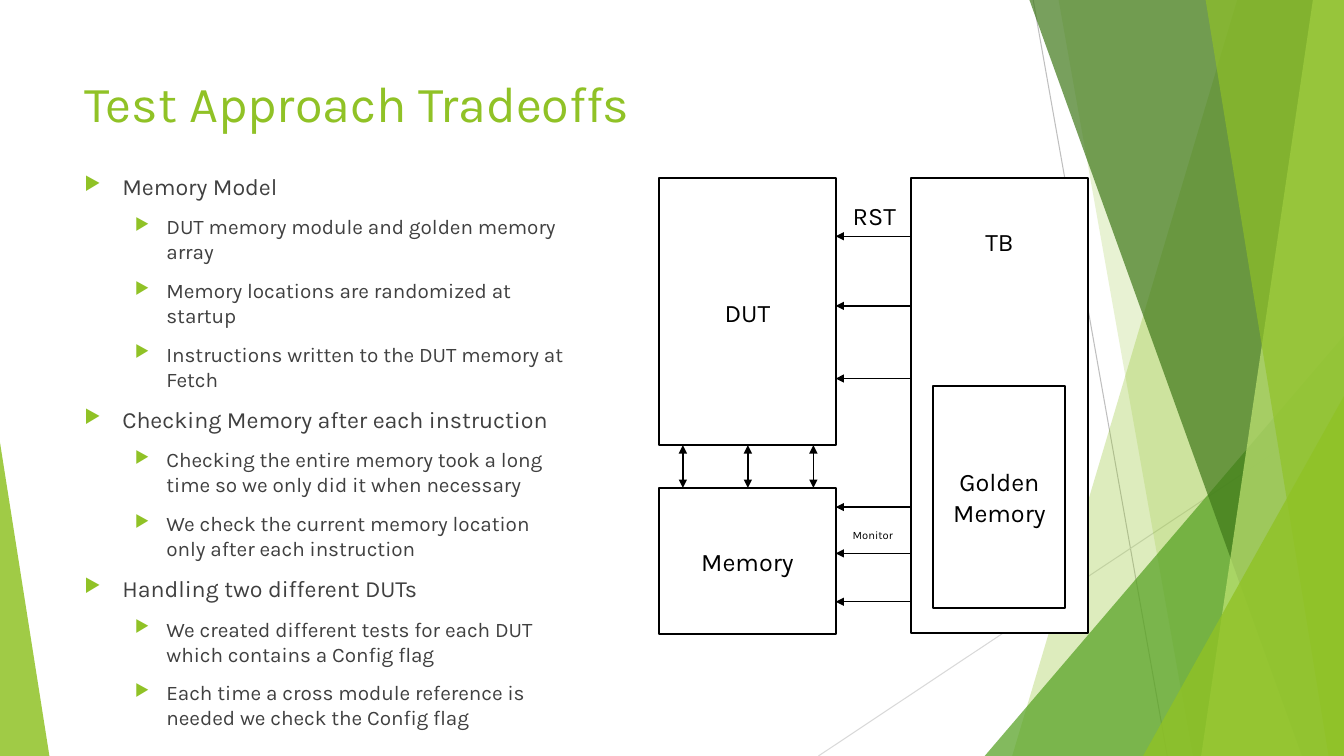
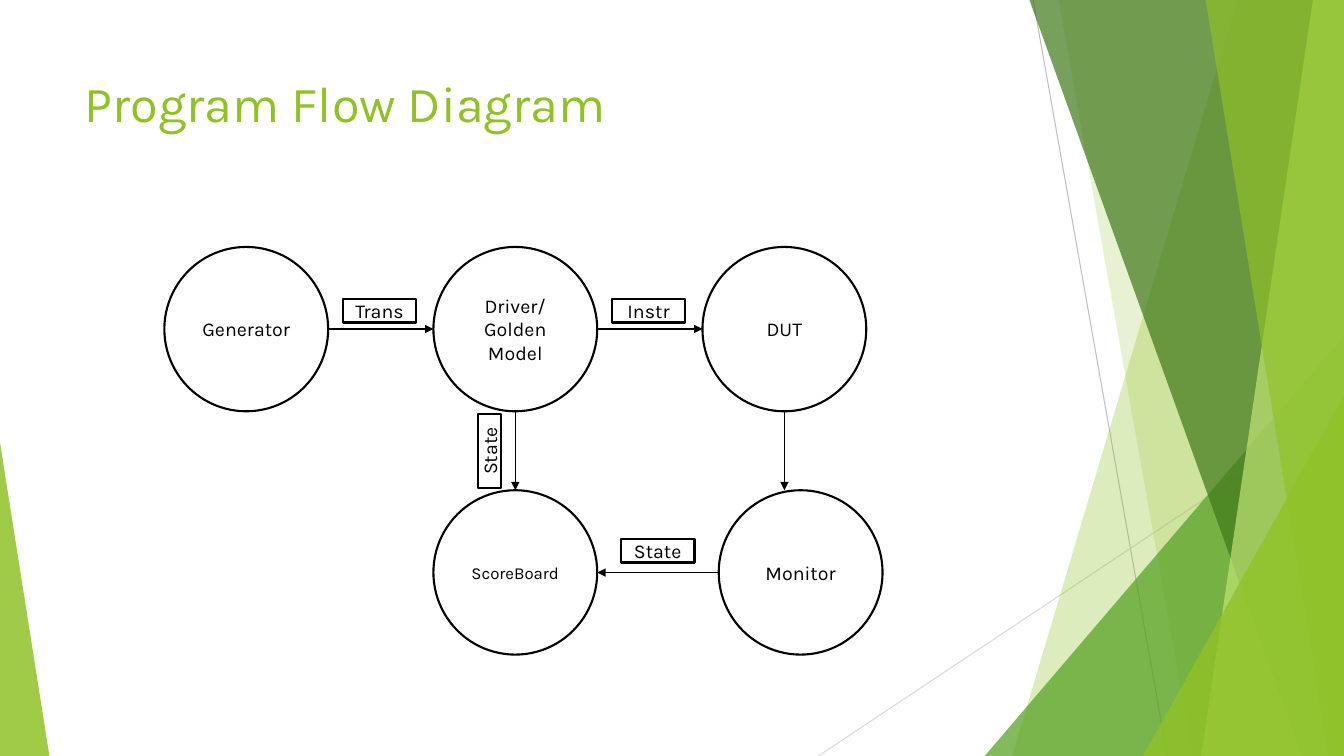
from lxml import etree
from pptx import Presentation
from pptx import util as u
from pptx.dml import color as dml
from pptx.enum import shapes, text
from pptx.oxml import ns

COLORS = {
    "green": "90C226", "leaf": "54A021", "forest": "3F7819", "lime": "C0E474",
    "body": "404040", "black": "000000", "white": "FFFFFF",
    "rule": "BFBFBF", "pale_rule": "D9D9D9",
}
FONT = "Karla"
WIDTH, HEIGHT = 960, 540
RECT, OVAL = shapes.MSO_SHAPE.RECTANGLE, shapes.MSO_SHAPE.OVAL


def write(paragraph, words, size, color="black"):
    """Add one run in the deck's font to a paragraph."""
    run = paragraph.add_run()
    run.text = words
    run.font.name = FONT
    run.font.size = u.Pt(size)
    run.font.color.rgb = dml.RGBColor.from_string(COLORS[color])


def add_line(slide, points, color="black", width=1, ends=("tailEnd",)):
    """Draw a straight line (x1, y1, x2, y2) with triangles at the named ends."""
    line = slide.shapes.add_connector(
        shapes.MSO_CONNECTOR.STRAIGHT, *[u.Pt(value) for value in points])
    line.line.color.rgb = dml.RGBColor.from_string(COLORS[color])
    line.line.width = u.Pt(width)
    properties = line._element.spPr
    outline = properties.find(ns.qn("a:ln"))
    for end in ends:
        etree.SubElement(outline, ns.qn("a:" + end), type="triangle")
    etree.SubElement(properties, ns.qn("a:effectLst"))


# Background: slanted bands (top x, bottom x) and right triangles
# (left, top, width, apex), from back to front
background_lines = [((738, 0, 833.8, HEIGHT), "rule"),
                    ((WIDTH, 290.2, 584.6, HEIGHT), "pale_rule")]
facets = [
    ((884.2, 722.9), "green", 30),
    ((756, 851.8), "green", 20),
    ((703.4, 239.8, 256.6, 1), "leaf", 72),
    ((735.1, 929.5), "forest", 70),
    ((938.2, 858.2), "lime", 70),
    ((861.1, 949), "green", 65),
    ((816.5, 283, 143.5, 1), "green", 80),
    ((0, 316.1, 35.3, 0), "green", 85),
]

# Test bench: blocks, signals and bullets
dut_left, bench_left, block_width = 470.9, 650.9, 126
dut_right = dut_left + block_width
bench_blocks = [
    (RECT, (dut_left, 127.4, block_width, 190.8), "DUT", 18, 0),
    (RECT, (bench_left, 127.4, block_width, 324.7), "TB", 18, 0),
    (RECT, (666.7, 275.8, 94.3, 158.4), "Golden Memory", 18, 0),
    (RECT, (dut_left, 348.5, block_width, 104.4), "Memory", 18, 0),
]
bench_arrows = [((bench_left, y, dut_right, y), ("tailEnd",))
                for y in (168.8, 218.5, 270.4, 362.2, 395.3, 429.8)]
bench_arrows += [((x, 318, x, 348.5), ("headEnd", "tailEnd"))
                 for x in (487.8, 534.2, 581)]
signal_names = [((602, 373.7, 45.4, 17.3), "Monitor", 8),
                ((602, 139.7, 45.4, 28.8), "RST", 18)]
bullets = [
    (0, "Memory Model"),
    (1, "DUT memory module and golden memory array"),
    (1, "Memory locations are randomized at startup"),
    (1, "Instructions written to the DUT memory at Fetch"),
    (0, "Checking Memory after each instruction"),
    (1, "Checking the entire memory took a long time so we only did it when necessary"),
    (1, "We check the current memory location only after each instruction"),
    (0, "Handling two different DUTs"),
    (1, "We created different tests for each DUT which contains a Config flag"),
    (1, "Each time a cross module reference is needed we check the Config flag"),
]
bullet_levels = [(16.6, 27, -27), (14.8, 58.5, -22.5)]  # size, margin, indent

# Program flow: circles on columns and rows, tags beside the arrows
columns = [117.4 + 192.2 * number for number in range(3)]
upper, lower, monitor_left = 176.4, 350.2, 513.4
diameter = 117
flow_blocks = [(OVAL, (left, top, diameter, diameter + 0.4), name, size, 0)
               for left, top, name, size in [
                   (columns[0], upper, "Generator", 14),
                   (columns[1], upper, "Driver/ Golden Model", 14),
                   (columns[2], upper, "DUT", 14),
                   (columns[1], lower, "ScoreBoard", 12),
                   (monitor_left, lower, "Monitor", 14)]]
flow_blocks += [(RECT, (left, top, 52.6, 16.6), name, 14, angle)
                for left, top, name, angle in [
                    (244.8, 213.8, "Trans", 0),
                    (437, 213.8, "Instr", 0),
                    (443.5, 385.2, "State", 0),
                    (323.3, 313.9, "State", 270)]]
flow_arrows = [(points, ("tailEnd",)) for points in [
    (columns[0] + diameter, 235, columns[1], 235),
    (columns[1] + diameter, 235, columns[2], 235),
    (columns[1] + diameter / 2, 294.2, columns[1] + diameter / 2, lower),
    (columns[2] + diameter / 2, 294.2, columns[2] + diameter / 2, lower),
    (monitor_left, 409, columns[1] + diameter, 409)]]

pages = [
    ("Test Approach Tradeoffs", bench_blocks, bench_arrows, signal_names, bullets),
    ("Program Flow Diagram", flow_blocks, flow_arrows, [], []),
]

presentation = Presentation()
presentation.slide_width = u.Pt(WIDTH)
presentation.slide_height = u.Pt(HEIGHT)

for title, blocks, arrows, names, points in pages:
    slide = presentation.slides.add_slide(presentation.slide_layouts[6])

    for line_points, color in background_lines:
        add_line(slide, line_points, color, 0.75, ())
    for place, color, opacity in facets:
        if len(place) == 2:
            top_x, bottom_x = place
            outline = slide.shapes.build_freeform(top_x, -0.6, scale=u.Pt(1))
            outline.add_line_segments(
                [(WIDTH, -0.6), (WIDTH, HEIGHT), (bottom_x, HEIGHT)], close=True)
            facet = outline.convert_to_shape()
        else:
            left, top, width, apex = place
            facet = slide.shapes.add_shape(
                shapes.MSO_SHAPE.ISOSCELES_TRIANGLE,
                u.Pt(left), u.Pt(top), u.Pt(width), u.Pt(HEIGHT - top))
            facet.adjustments[0] = apex
        facet.shadow.inherit = False
        facet.line.fill.background()
        facet.fill.solid()
        facet.fill.fore_color.rgb = dml.RGBColor.from_string(COLORS[color])
        tint = facet._element.spPr.find(".//" + ns.qn("a:srgbClr"))
        etree.SubElement(tint, ns.qn("a:alpha"), val=str(opacity * 1000))

    heading = ((53.3, 48.2, 676.8, 103.7), title, 36)
    for place, words, size in [heading] + names:
        frame = slide.shapes.add_textbox(*[u.Pt(value) for value in place]).text_frame
        frame.word_wrap = True
        write(frame.paragraphs[0], words, size, "green" if words == title else "black")

    if points:
        frame = slide.shapes.add_textbox(
            u.Pt(53.3), u.Pt(119.5), u.Pt(357.8), u.Pt(382.3)).text_frame
        frame.word_wrap = True
        for number, (level, words) in enumerate(points):
            paragraph = frame.add_paragraph() if number else frame.paragraphs[0]
            size, margin, indent = bullet_levels[level]
            paragraph.level = level
            paragraph.space_before = u.Pt(10)
            write(paragraph, words, size, "body")
            layout = paragraph._p.get_or_add_pPr()
            layout.set("marL", str(u.Pt(margin)))
            layout.set("indent", str(u.Pt(indent)))
            bullet_color = etree.SubElement(layout, ns.qn("a:buClr"))
            etree.SubElement(bullet_color, ns.qn("a:srgbClr"), val=COLORS["green"])
            etree.SubElement(layout, ns.qn("a:buSzPct"), val="80000")
            etree.SubElement(layout, ns.qn("a:buChar"), char="▶")

    for kind, place, words, size, angle in blocks:
        block = slide.shapes.add_shape(kind, *[u.Pt(value) for value in place])
        block.rotation = angle
        block.shadow.inherit = False
        block.fill.solid()
        block.fill.fore_color.rgb = dml.RGBColor.from_string(COLORS["white"])
        block.line.color.rgb = dml.RGBColor.from_string(COLORS["black"])
        block.line.width = u.Pt(1.5)
        frame = block.text_frame
        frame.word_wrap = True
        frame.vertical_anchor = text.MSO_ANCHOR.MIDDLE
        if words == "TB":
            frame.vertical_anchor = text.MSO_ANCHOR.TOP
            frame.margin_top = u.Pt(34)
        frame.paragraphs[0].alignment = text.PP_ALIGN.CENTER
        write(frame.paragraphs[0], words, size)
    for arrow_points, ends in arrows:
        add_line(slide, arrow_points, ends=ends)

presentation.save("out.pptx")
